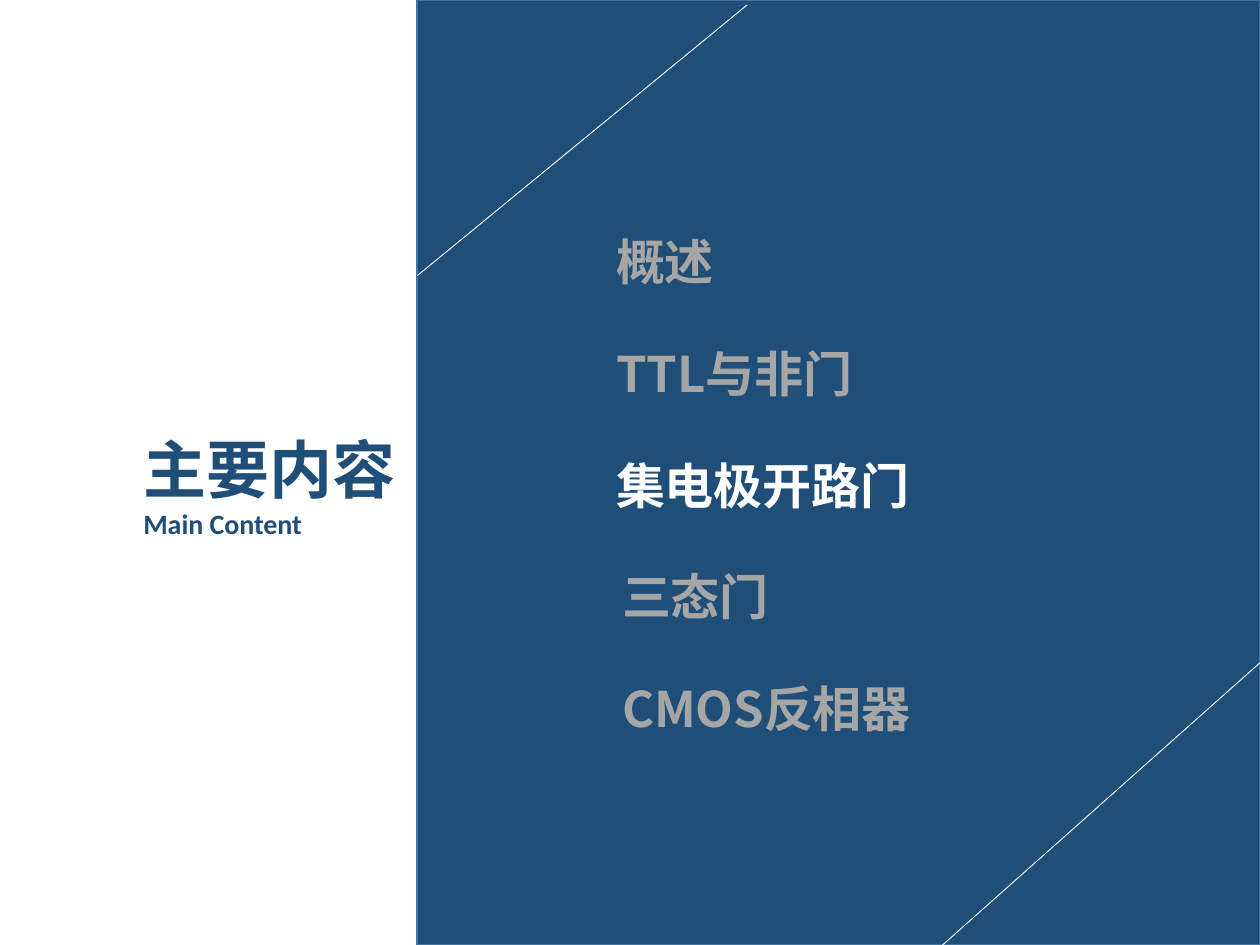
from dataclasses import dataclass
from lxml.etree import SubElement
from pptx import Presentation
from pptx.dml.color import RGBColor as RGB
from pptx.enum.shapes import MSO_CONNECTOR as CONN, MSO_SHAPE as SHAPE
from pptx.enum.text import MSO_AUTO_SIZE as FIT
from pptx.oxml.ns import qn
from pptx.util import Cm, Pt


@dataclass(frozen=True)
class Theme:
    navy: RGB = RGB(0x1F, 0x4E, 0x79)
    edge: RGB = RGB(0x43, 0x73, 0x9E)
    muted: RGB = RGB(0xA6, 0xA6, 0xA6)
    white: RGB = RGB(0xFF, 0xFF, 0xFF)
    cjk: str = "Noto Sans CJK SC"
    latin: str = "Calibri"
    title: int = 36
    subtitle: int = 16
    item: int = 28


THEME = Theme()
ITEMS = [
    ("概述", 3.76, 7.44),
    ("TTL与非门", 3.76, 6.88),
    ("集电极开路门", 3.76, 8.31),
    ("三态门", 3.88, 8.31),
    ("CMOS反相器", 3.88, 11.05),
]
CURRENT = "集电极开路门"


def style_run(r, size, color, name):
    font = r.font
    font.size, font.bold, font.name = Pt(size), True, name
    font.color.rgb = color
    SubElement(r._r.get_or_add_rPr(), qn("a:ea")).set("typeface", name)


def add_text(s, text, left, top, width, height):
    box = s.shapes.add_textbox(Cm(left), Cm(top), Cm(width), Cm(height))
    tf = box.text_frame
    tf.word_wrap = True
    tf.auto_size = FIT.SHAPE_TO_FIT_TEXT
    p = tf.paragraphs[0]
    p.text = text
    return p.runs


def add_accent(s, x1, y1, x2, y2):
    line = s.shapes.add_connector(CONN.STRAIGHT, Cm(x1), Cm(y1), Cm(x2), Cm(y2))
    line.line.color.rgb = THEME.white
    line.line.width = Pt(0.5)
    SubElement(line._element.spPr, qn("a:effectLst"))


def add_heading(s, left, top, width, height):
    title, subtitle = add_text(s, "主要内容\vMain Content", left, top, width, height)
    style_run(title, THEME.title, THEME.navy, THEME.cjk)
    style_run(subtitle, THEME.subtitle, THEME.navy, THEME.latin)


def add_panel(s, left, top, width, height):
    sp = s.shapes.add_shape(SHAPE.RECTANGLE, Cm(left), Cm(top), Cm(width), Cm(height))
    sp.shadow.inherit = False
    sp.fill.solid()
    sp.fill.fore_color.rgb = THEME.navy
    sp.line.color.rgb = THEME.edge
    sp.line.width = Pt(1)
    add_accent(s, left + 6.65, top + 0.1, left, top + 5.56)
    add_accent(s, left + width, top + 13.36, left + 10.59, top + height)


def add_agenda(s, left, top, pitch):
    for i, (text, indent, width) in enumerate(ITEMS):
        color = THEME.white if text == CURRENT else THEME.muted
        for r in add_text(s, text, left + indent, top + i * pitch, width, 1.45):
            style_run(r, THEME.item, color, THEME.cjk)


def main():
    prs = Presentation()
    prs.slide_width, prs.slide_height = Cm(25.4), Cm(19.05)
    s = prs.slides.add_slide(prs.slide_layouts[6])
    add_heading(s, 2.64, 8.56, 5.77, 2.49)
    add_panel(s, 8.41, 0, 16.99, 19.05)
    add_agenda(s, 8.41, 4.55, 2.25)
    prs.save("out.pptx")


if __name__ == "__main__":
    main()
